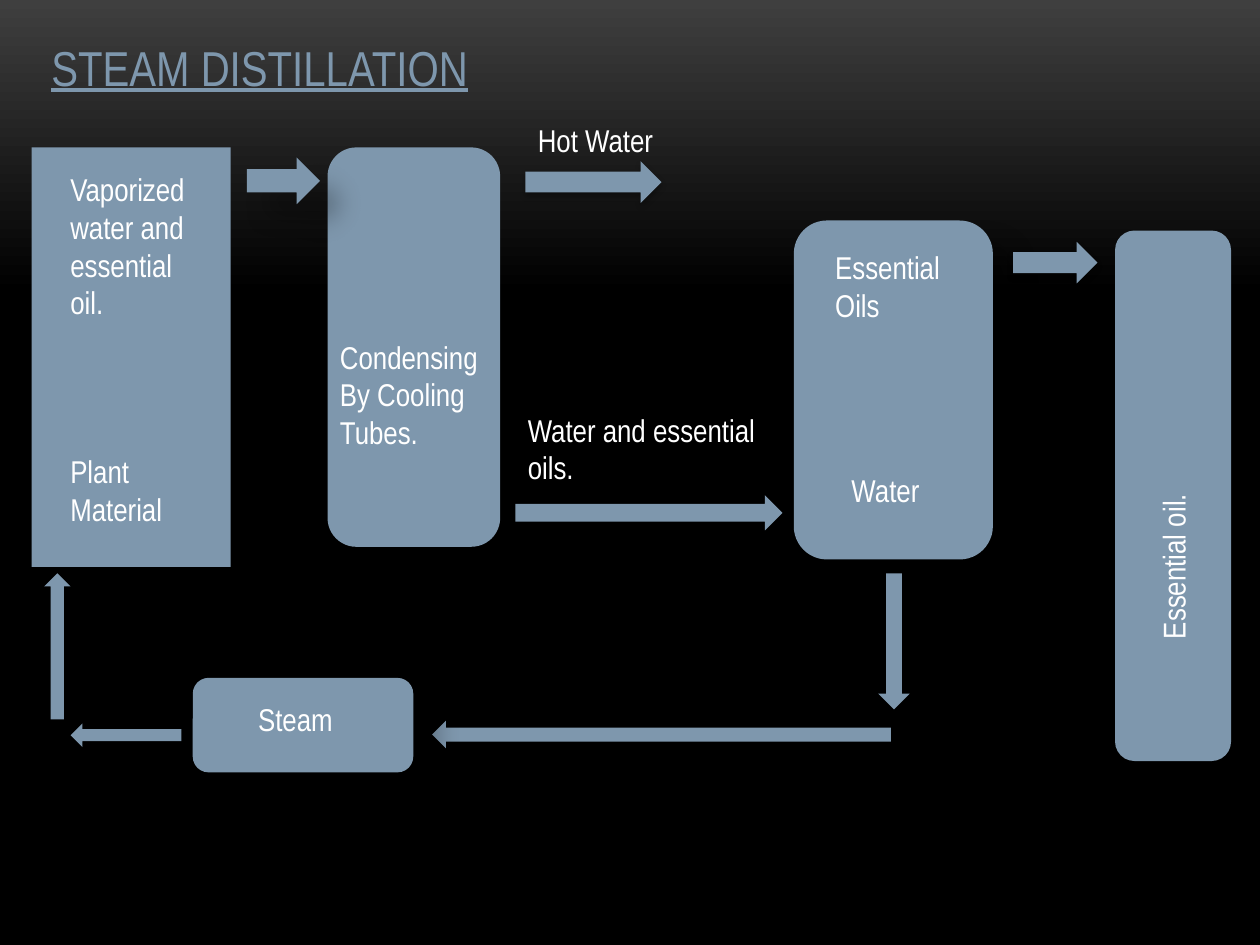
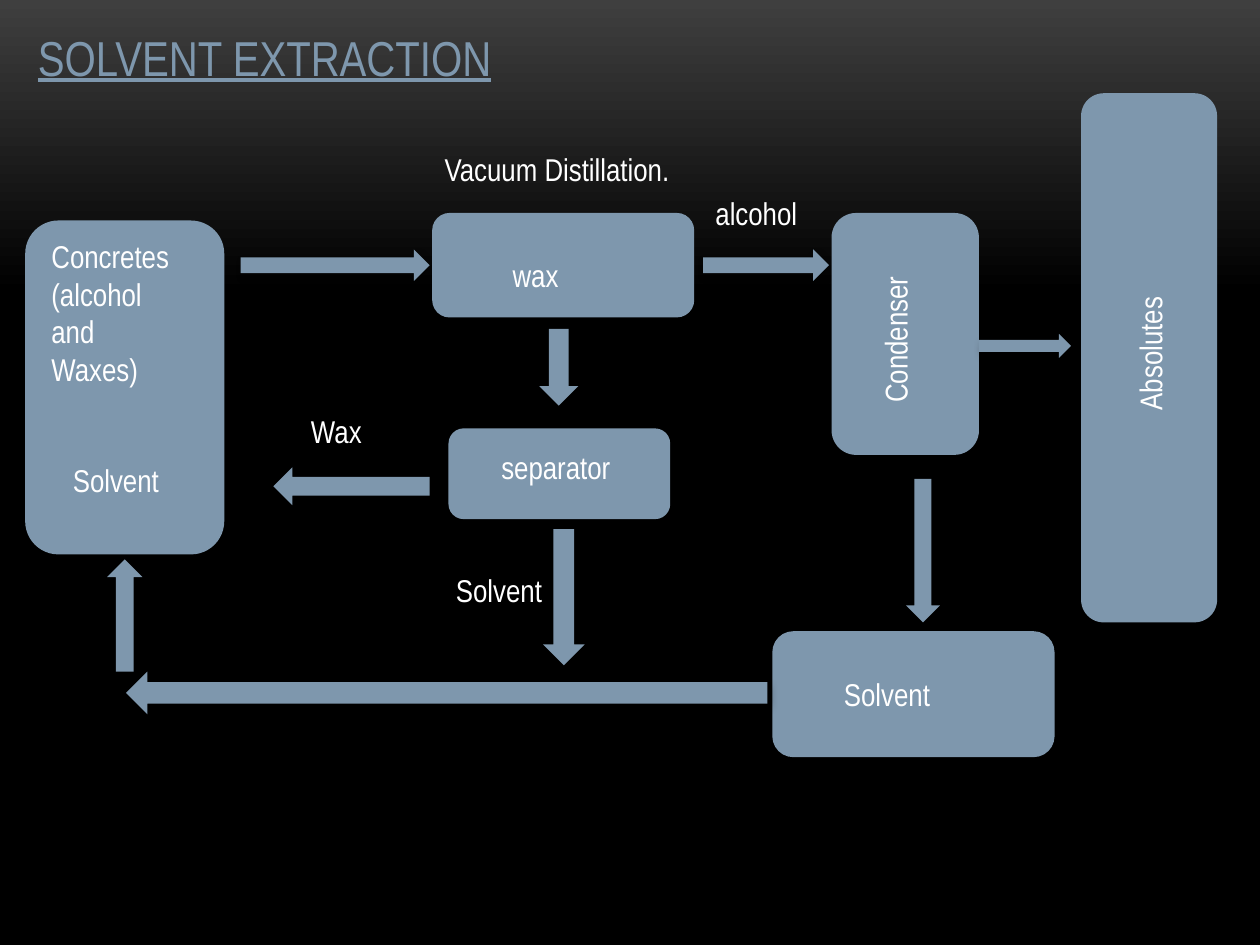
from typing import NamedTuple, Optional

from lxml.etree import SubElement
from pptx import Presentation
from pptx.dml.color import RGBColor
from pptx.enum.shapes import MSO_SHAPE as Preset
from pptx.enum.text import MSO_ANCHOR as Anchor, MSO_AUTO_SIZE as AutoSize, PP_ALIGN as Align
from pptx.oxml.ns import qn
from pptx.util import Inches, Pt

COLORS = {"steel": "7E97AD", "text": "FFFFFF", "glow": "3F3F3F", "base": "000000"}
FONT = "Arial Narrow"
TITLE_ONLY = 5


class Shadow(NamedTuple):
    opacity: int
    blur: float
    distance: float
    angle: int


TIGHT = Shadow(32, 3.5, 2.2, 90)
WIDE = Shadow(30, 15, 18, 45)
SOFT = Shadow(30, 4.5, 2.6, 53)


class Block(NamedTuple):
    """A vessel or a flow arrow of the process."""
    preset: Preset
    left: float
    top: float
    width: float
    height: float
    shadow: Optional[Shadow] = None


class Label(NamedTuple):
    text: str
    left: float
    top: float
    width: float
    height: float = 0.4
    rotation: int = 0


class Process(NamedTuple):
    title: Label
    blocks: list[Block]
    labels: list[Label]


BOX, ROUND = Preset.RECTANGLE, Preset.ROUNDED_RECTANGLE
RIGHT, LEFT = Preset.RIGHT_ARROW, Preset.LEFT_ARROW
UP, DOWN = Preset.UP_ARROW, Preset.DOWN_ARROW

STEAM_DISTILLATION = Process(
    Label("STEAM DISTILLATION", 0.25, 0.25, 3.62, 0.57),
    [
        Block(BOX, 0.25, 1.17, 1.58, 3.33),
        Block(ROUND, 2.6, 1.17, 1.37, 3.17),
        Block(RIGHT, 4.17, 1.28, 1.08, 0.33, TIGHT),
        Block(UP, 0.35, 4.55, 0.21, 1.16),
        Block(RIGHT, 4.09, 3.93, 2.12, 0.28, TIGHT),
        Block(ROUND, 6.3, 1.75, 1.58, 2.69, WIDE),
        Block(DOWN, 6.97, 4.55, 0.25, 1.08, WIDE),
        Block(LEFT, 3.43, 5.72, 3.64, 0.22, WIDE),
        Block(RIGHT, 8.04, 1.92, 0.67, 0.33, TIGHT),
        Block(LEFT, 0.56, 5.74, 0.88, 0.19, WIDE),
        Block(RIGHT, 1.96, 1.25, 0.58, 0.37, WIDE),
        Block(ROUND, 1.53, 5.38, 1.75, 0.75, WIDE),
        Block(ROUND, 8.85, 1.83, 0.92, 4.21),
    ],
    [
        Label("Plant\nMaterial", 0.46, 3.54, 1.17, 0.71),
        Label("Vaporized water and essential oil.", 0.46, 1.3, 1.17, 1.31),
        Label("Condensing\nBy Cooling\nTubes.", 2.6, 2.63, 1.37, 1.01),
        Label("Hot Water", 4.17, 0.91, 1.58),
        Label("Water and essential oils.", 4.09, 3.21, 2.12, 0.71),
        Label("Essential\nOils", 6.53, 1.92, 1.11, 0.71),
        Label("Water", 6.66, 3.69, 0.86),
        Label("Essential oil.", 8.1, 3.76, 2.42, rotation=270),
        Label("Steam", 1.95, 5.51, 0.92),
    ],
)

SOLVENT_EXTRACTION = Process(
    Label("SOLVENT EXTRACTION", 0.13, 0.17, 3.94, 0.57),
    [
        Block(ROUND, 0.2, 1.75, 1.58, 2.65),
        Block(UP, 0.85, 4.44, 0.28, 0.89, SOFT),
        Block(RIGHT, 1.91, 1.98, 1.5, 0.25, SOFT),
        Block(ROUND, 3.43, 1.69, 2.08, 0.83),
        Block(RIGHT, 5.58, 1.98, 1, 0.25, SOFT),
        Block(ROUND, 6.6, 1.69, 1.17, 1.92),
        Block(DOWN, 7.19, 3.8, 0.27, 1.14, SOFT),
        Block(ROUND, 8.58, 0.74, 1.08, 4.2),
        Block(RIGHT, 7.77, 2.65, 0.73, 0.19, SOFT),
        Block(ROUND, 6.13, 5.01, 2.24, 1),
        Block(LEFT, 1, 5.33, 5.09, 0.34, SOFT),
        Block(ROUND, 3.56, 3.4, 1.76, 0.72, SOFT),
        Block(DOWN, 4.28, 2.61, 0.31, 0.61, SOFT),
        Block(DOWN, 4.31, 4.2, 0.33, 1.08, SOFT),
        Block(LEFT, 2.17, 3.71, 1.24, 0.3, SOFT),
    ],
    [
        Label("Concretes\n(alcohol and\nWaxes)", 0.31, 1.83, 1.27, 1.31),
        Label("Solvent", 0.48, 3.61, 0.93),
        Label("wax", 3.97, 1.98, 0.61),
        Label("Vacuum Distillation.", 3.43, 1.14, 1.99),
        Label("alcohol", 5.58, 1.49, 1.33),
        Label("Condenser", 6.45, 2.44, 1.31, rotation=270),
        Label("Absolutes", 8.42, 2.45, 1.41, rotation=270),
        Label("Solvent", 6.6, 5.31, 1.44),
        Label("separator", 3.88, 3.51, 1.08),
        Label("Wax", 2.37, 3.22, 0.83),
        Label("Solvent", 3.52, 4.48, 2.12),
    ],
)


def rgb(name: str) -> RGBColor:
    return RGBColor.from_string(COLORS[name])


def place(item) -> tuple:
    return tuple(Inches(value) for value in (item.left, item.top, item.width, item.height))


def write(shape, text: str, *, size: int = 18, color: str = "text", underline: bool = False,
          align: Align = Align.LEFT, wrap: bool = True) -> None:
    frame = shape.text_frame
    frame.text = text
    frame.word_wrap = wrap
    frame.auto_size = AutoSize.NONE
    frame.vertical_anchor = Anchor.TOP
    for paragraph in frame.paragraphs:
        paragraph.alignment = align
        for run in paragraph.runs:
            run.font.name = FONT
            run.font.size = Pt(size)
            run.font.underline = underline
            run.font.color.rgb = rgb(color)


def add_shadow(shape, shadow: Shadow) -> None:
    effects = shape._element.spPr.find(qn("a:effectLst"))
    outer = SubElement(effects, qn("a:outerShdw"), blurRad=str(Pt(shadow.blur)),
                       dist=str(Pt(shadow.distance)), dir=str(shadow.angle * 60000),
                       algn="ctr", rotWithShape="0")
    color = SubElement(outer, qn("a:srgbClr"), val=COLORS["base"])
    SubElement(color, qn("a:alpha"), val=str(shadow.opacity * 1000))


def add_block(slide, block: Block) -> None:
    shape = slide.shapes.add_shape(block.preset, *place(block))
    shape.fill.solid()
    shape.fill.fore_color.rgb = rgb("steel")
    shape.line.fill.background()
    shape.shadow.inherit = False
    if block.shadow:
        add_shadow(shape, block.shadow)


def add_label(slide, label: Label) -> None:
    box = slide.shapes.add_textbox(*place(label))
    box.rotation = label.rotation
    write(box, label.text)


def set_background(master) -> None:
    fill = master.background.fill
    fill.gradient()
    fill.gradient_angle = 270
    for stop, color, position in zip(fill.gradient_stops, ("glow", "base"), (0, 0.31)):
        stop.color.rgb = rgb(color)
        stop.position = position


def add_process(presentation, process: Process) -> None:
    slide = presentation.slides.add_slide(presentation.slide_layouts[TITLE_ONLY])
    # Title
    title = slide.shapes.title
    title.left, title.top, title.width, title.height = place(process.title)
    write(title, process.title.text, size=28, color="steel", underline=True,
          align=Align.CENTER, wrap=False)
    # Vessels and arrows, then the words over them
    for block in process.blocks:
        add_block(slide, block)
    for label in process.labels:
        add_label(slide, label)


def main() -> None:
    presentation = Presentation()
    presentation.slide_width, presentation.slide_height = Inches(10), Inches(7.5)
    set_background(presentation.slide_master)
    for process in (STEAM_DISTILLATION, SOLVENT_EXTRACTION):
        add_process(presentation, process)
    presentation.save("out.pptx")


if __name__ == "__main__":
    main()
